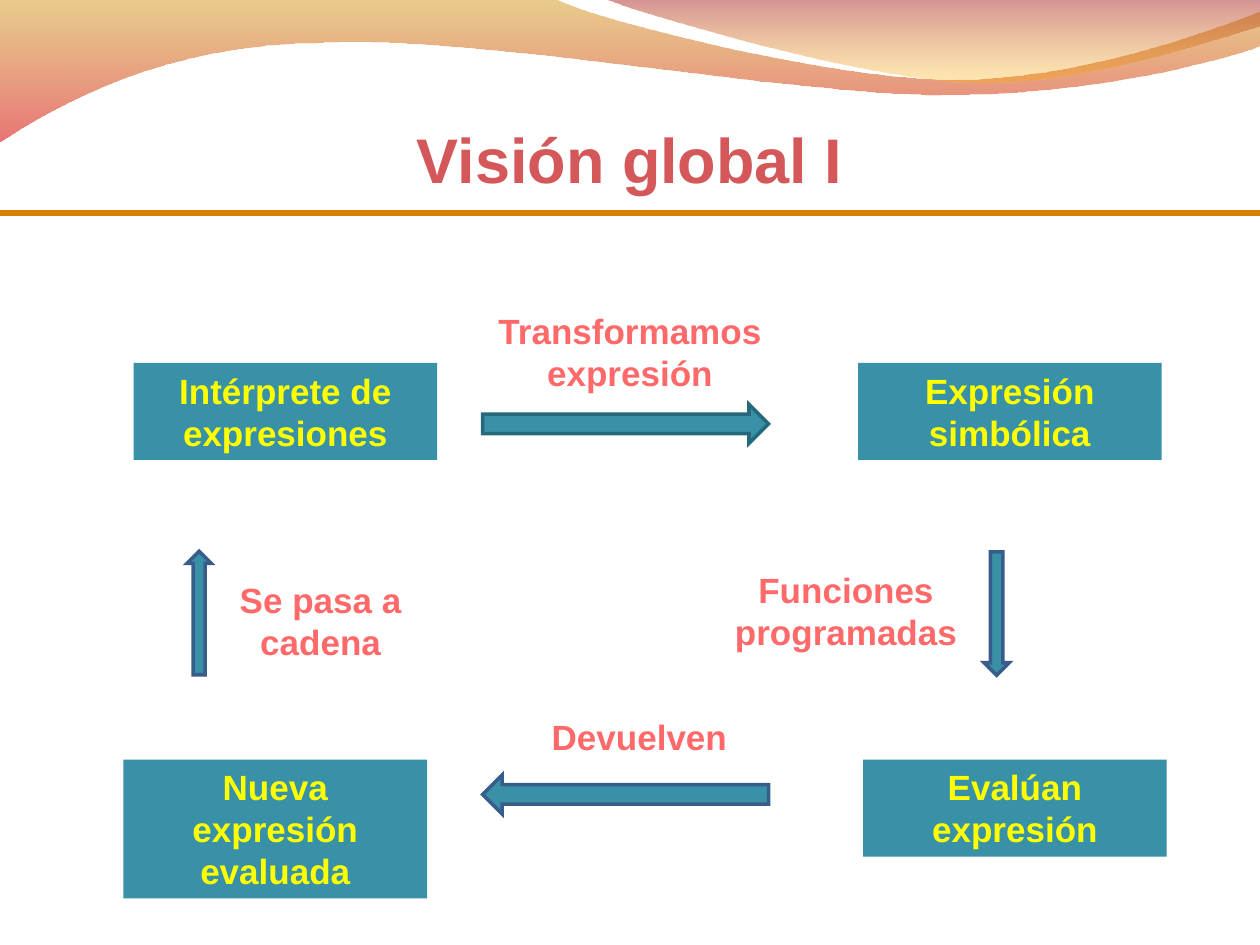
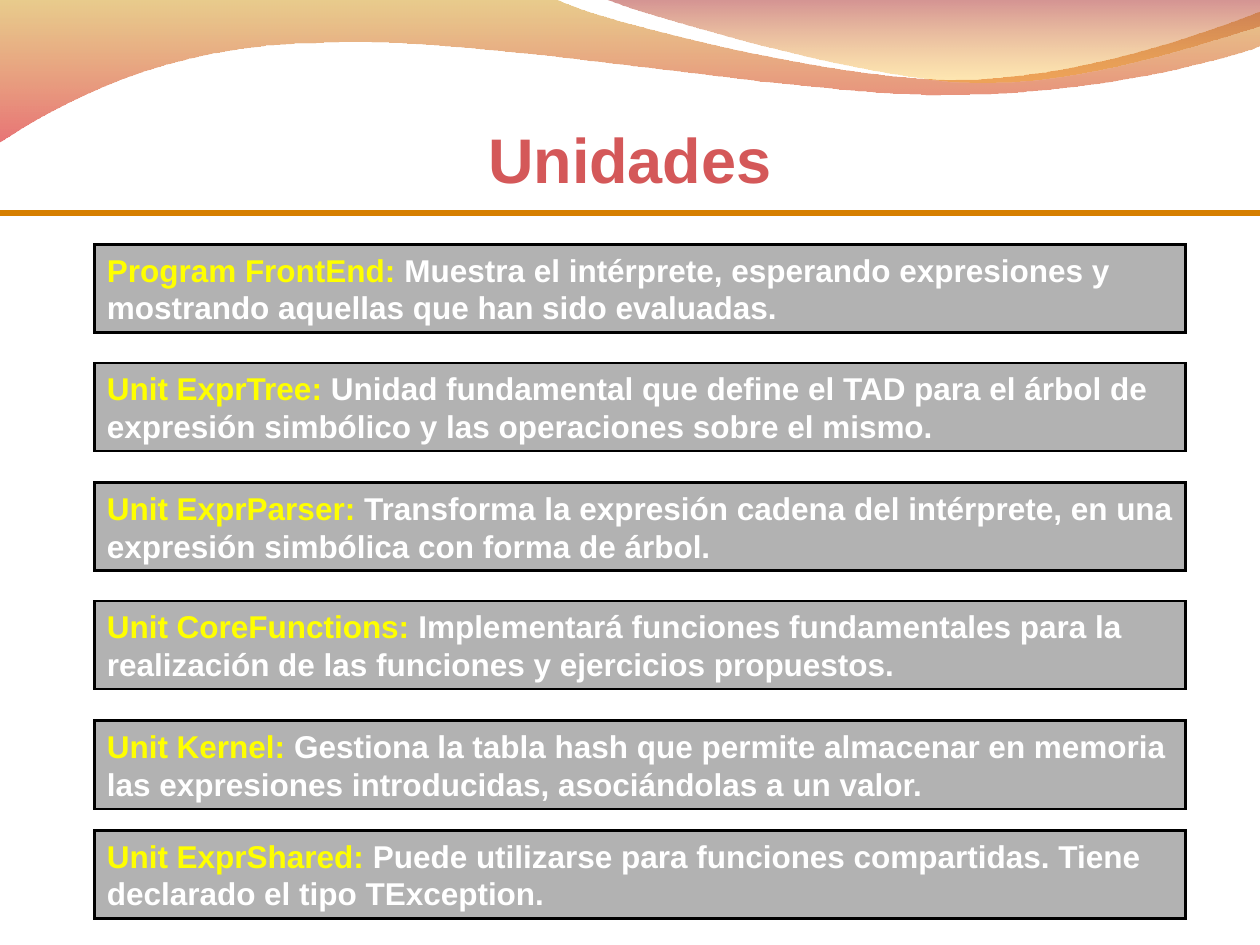
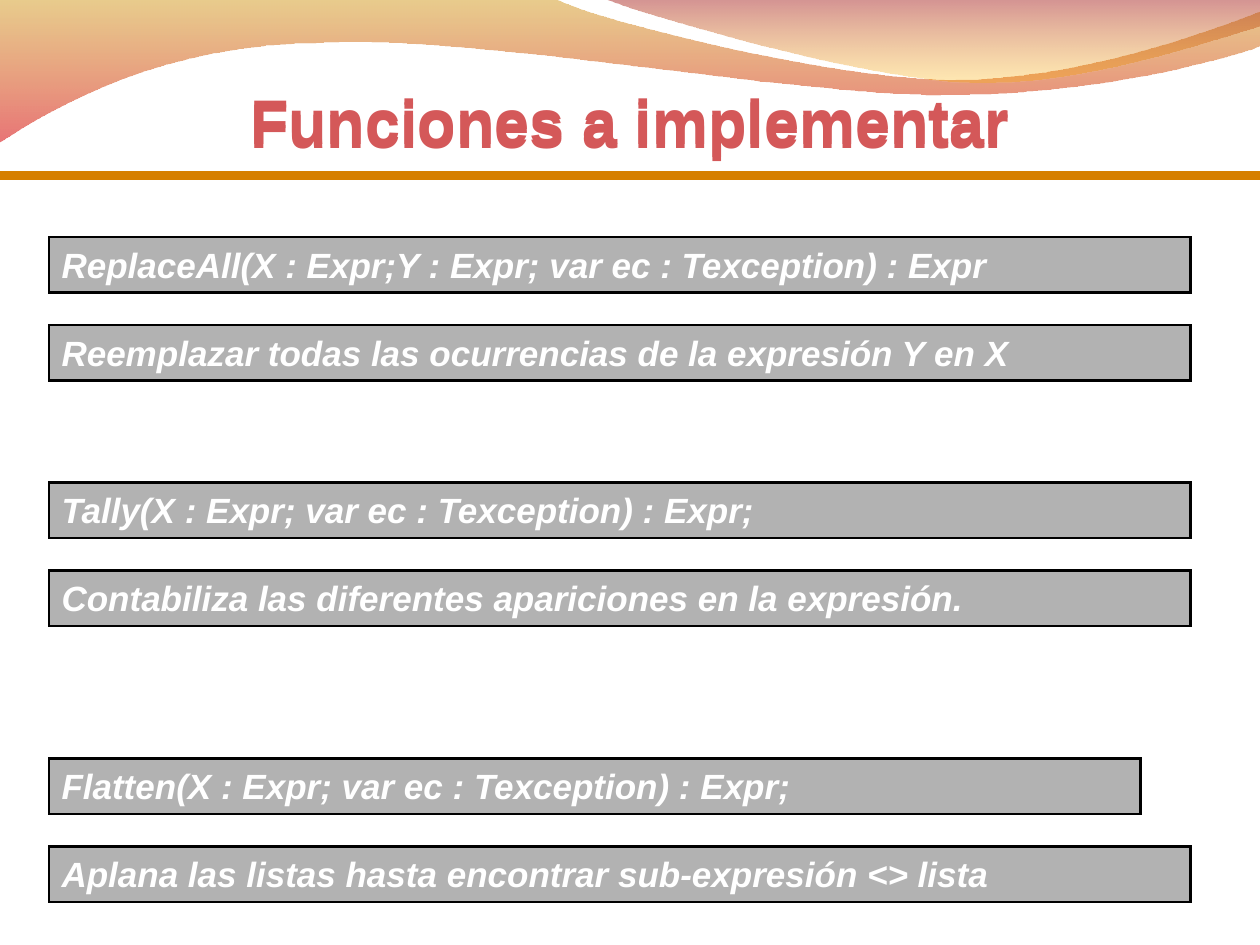
"""Builds three slides about an interpreter of symbolic expressions."""
from lxml import etree
from pptx import Presentation
from pptx import util as u
from pptx.dml.color import RGBColor
from pptx.enum import shapes, text
from pptx.oxml.ns import qn

rgb = RGBColor.from_string
RED, GOLD, TEAL, PINK = "D45859", "D67F00", "3891A7", "FF6969"
YELLOW, WHITE, BLACK = "FFFF00", "FFFFFF", "000000"
RECT, ARROW = shapes.MSO_SHAPE.RECTANGLE, shapes.MSO_SHAPE.RIGHT_ARROW
LINE = shapes.MSO_CONNECTOR.STRAIGHT


def fade(part, rates):
    """Gives each colour below part its opacity in percent."""
    for node, rate in zip(part.iter(qn("a:srgbClr")), rates):
        etree.SubElement(node, qn("a:alpha")).set("val", str(rate * 1000))


def box(slide, at, parts, size, kind="label", center=True, italic=False, before=0):
    """Adds a text box, a teal block or a grey bar with coloured parts of text."""
    place = [u.Inches(n) for n in at]
    if kind == "label":
        shape = slide.shapes.add_textbox(*place)
    else:
        shape = slide.shapes.add_shape(RECT, *place)
        shape.shadow.inherit = False
        shape.fill.solid()
        shape.fill.fore_color.rgb = rgb(TEAL if kind == "block" else BLACK)
        if kind == "block":
            shape.line.fill.background()
        else:
            fade(shape.element.spPr, [30])
            shape.line.color.rgb = rgb(BLACK)
            shape.line.width = u.Pt(1.5)
    frame = shape.text_frame
    frame.word_wrap = True
    frame.auto_size = text.MSO_AUTO_SIZE.SHAPE_TO_FIT_TEXT
    frame.vertical_anchor = text.MSO_ANCHOR.TOP
    para = frame.paragraphs[0]
    para.alignment = text.PP_ALIGN.CENTER if center else text.PP_ALIGN.LEFT
    para.space_before = u.Pt(before)
    for words, color in parts:
        run = para.add_run()
        run.text = words
        font = run.font
        font.name, font.size, font.bold = "Arial", u.Pt(size), True
        font.italic = italic
        font.color.rgb = rgb(color)


deck = Presentation()
deck.slide_width, deck.slide_height = u.Inches(10), u.Inches(7.5)
blank = deck.slide_layouts[6]
for holder in list(blank.placeholders):
    blank.shapes.element.remove(holder.element)
flow, units, funcs = [deck.slides.add_slide(blank) for _ in range(3)]

waves = [
    ([(0, -0.01), (4.4, -0.01),
      (4.76, 0.17, 6.64, 0.63, 7.58, 0.63), (8.53, 0.63, 9.58, 0.26, 10, 0.09),
      (10.01, 0.36),
      (9.83, 0.44, 8.7, 0.76, 7.46, 0.75), (6.22, 0.75, 3.82, 0.28, 2.57, 0.34),
      (1.29, 0.35, 0.46, 0.83, -0.01, 1.13)],
     ["CD8E00", "D60204"], [45, 55]),
    ([(4.79, -0.01),
      (5.09, 0.11, 6.82, 0.62, 7.69, 0.65), (8.56, 0.69, 9.61, 0.32, 10, 0.21),
      (10, 0)],
     ["9F0D0E", "FFB400"], [45, 30]),
]
for steps, colors, rates in waves:
    ends = [(u.Inches(step[-2]), u.Inches(step[-1])) for step in steps]
    pen = flow.shapes.build_freeform(*ends[0])
    pen.add_line_segments(ends[1:], close=True)
    wave = pen.convert_to_shape()
    wave.shadow.inherit = False
    wave.line.fill.background()
    wave.fill.gradient()
    wave.fill.gradient_angle = 270
    for stop, color in zip(wave.fill.gradient_stops, colors):
        stop.color.rgb = rgb(color)
    fade(wave.element.spPr, rates)
    sides = list(wave.element.iter(qn("a:lnTo")))
    for side, step in zip(sides, steps[1:]):
        if len(step) == 2:
            continue
        curve = etree.Element(qn("a:cubicBezTo"))
        for x, y in zip(step[::2], step[1::2]):
            dot = etree.SubElement(curve, qn("a:pt"))
            dot.set("x", str(u.Inches(x) - wave.left))
            dot.set("y", str(u.Inches(y) - wave.top))
        side.getparent().replace(side, curve)
    blank.shapes.element.append(wave.element)

titles = [
    (flow, "Visión global I", 0.91),
    (units, "Unidades", 0.91),
    (funcs, "Funciones a implementar", 0.63),
    (funcs, "Funciones a implementar", 0.6),
]
for slide, title, top in titles:
    box(slide, (0, top, 10, 0.7), [(title, RED)], 36)
    y = u.Inches(top + 0.78)
    rule = slide.shapes.add_connector(LINE, 0, y, u.Inches(10), y)
    rule.line.color.rgb = rgb(GOLD)
    rule.line.width = u.Pt(3)
    etree.SubElement(rule.element.spPr, qn("a:effectLst"))

blocks = [
    ("Intérprete de expresiones", 1.06, 2.88, 0.77),
    ("Expresión simbólica", 6.81, 2.88, 0.77),
    ("Evalúan expresión", 6.85, 6.03, 0.77),
    ("Nueva expresión evaluada", 0.98, 6.03, 1.1),
]
for words, left, top, high in blocks:
    box(flow, (left, top, 2.41, high), [(words, YELLOW)], 20, "block")

labels = [
    ("Transformamos expresión", 3.82, 2.41, 2.36, 0.77),
    ("Funciones programadas", 5.7, 4.46, 2.03, 0.77),
    ("Devuelven", 4.06, 5.63, 2.03, 0.44),
    ("Se pasa a cadena", 1.53, 4.54, 2.03, 0.77),
]
for words, *at in labels:
    box(flow, at, [(words, PINK)], 20)

arrows = [
    (0, "26697A", 3.83, 3.21, 2.27, 0.31),
    (90, "385D8A", 7.42, 4.77, 0.98, 0.2),
    (180, "385D8A", 3.83, 6.15, 2.27, 0.31),
    (270, "385D8A", 1.09, 4.77, 0.98, 0.19),
]
for turn, edge, *at in arrows:
    arrow = flow.shapes.add_shape(ARROW, *[u.Inches(n) for n in at])
    arrow.rotation = turn
    arrow.shadow.inherit = False
    arrow.fill.solid()
    arrow.fill.fore_color.rgb = rgb(TEAL)
    arrow.line.color.rgb = rgb(edge)
    arrow.line.width = u.Pt(2)

modules = [
    (1.94, "Program FrontEnd:", " Muestra el intérprete, esperando expresiones y "
     "mostrando aquellas que han sido evaluadas."),
    (2.88, "Unit ExprTree:", " Unidad fundamental que define el TAD para el árbol de "
     "expresión simbólico y las operaciones sobre el mismo."),
    (3.83, "Unit ExprParser:", " Transforma la expresión cadena del intérprete, en una "
     "expresión simbólica con forma de árbol."),
    (4.77, "Unit CoreFunctions:", " Implementará funciones fundamentales para la "
     "realización de las funciones y ejercicios propuestos."),
    (5.72, "Unit Kernel:", " Gestiona la tabla hash que permite almacenar en memoria "
     "las expresiones introducidas, asociándolas a un valor."),
    (6.59, "Unit ExprShared:", " Puede utilizarse para funciones compartidas. Tiene "
     "declarado el tipo TException."),
]
for top, name, role in modules:
    box(units, (0.75, top, 8.66, 0.7), [(name, YELLOW), (role, WHITE)], 18,
        "bar", center=False, before=11.2)

tasks = [
    (1.88, 9.06, "ReplaceAll(X : Expr;Y : Expr; var ec : Texception) : Expr",
     "Reemplazar todas las ocurrencias de la expresión Y en X"),
    (3.83, 9.06, "Tally(X : Expr; var ec : Texception) : Expr;",
     "Contabiliza las diferentes apariciones en la expresión."),
    (6.02, 8.66, "Flatten(X : Expr; var ec : Texception) : Expr;",
     "Aplana las listas hasta encontrar sub-expresión <> lista"),
]
for top, wide, head, goal in tasks:
    for y, width, words in [(top, wide, head), (top + 0.7, 9.06, goal)]:
        box(funcs, (0.39, y, width, 0.44), [(words, WHITE)], 20,
            "bar", center=False, italic=True, before=12.5)

for slide in (flow, units, funcs):
    for edge in slide.shapes.element.iter(qn("a:ln")):
        etree.SubElement(edge, qn("a:miter")).set("lim", "800000")

deck.save("out.pptx")
